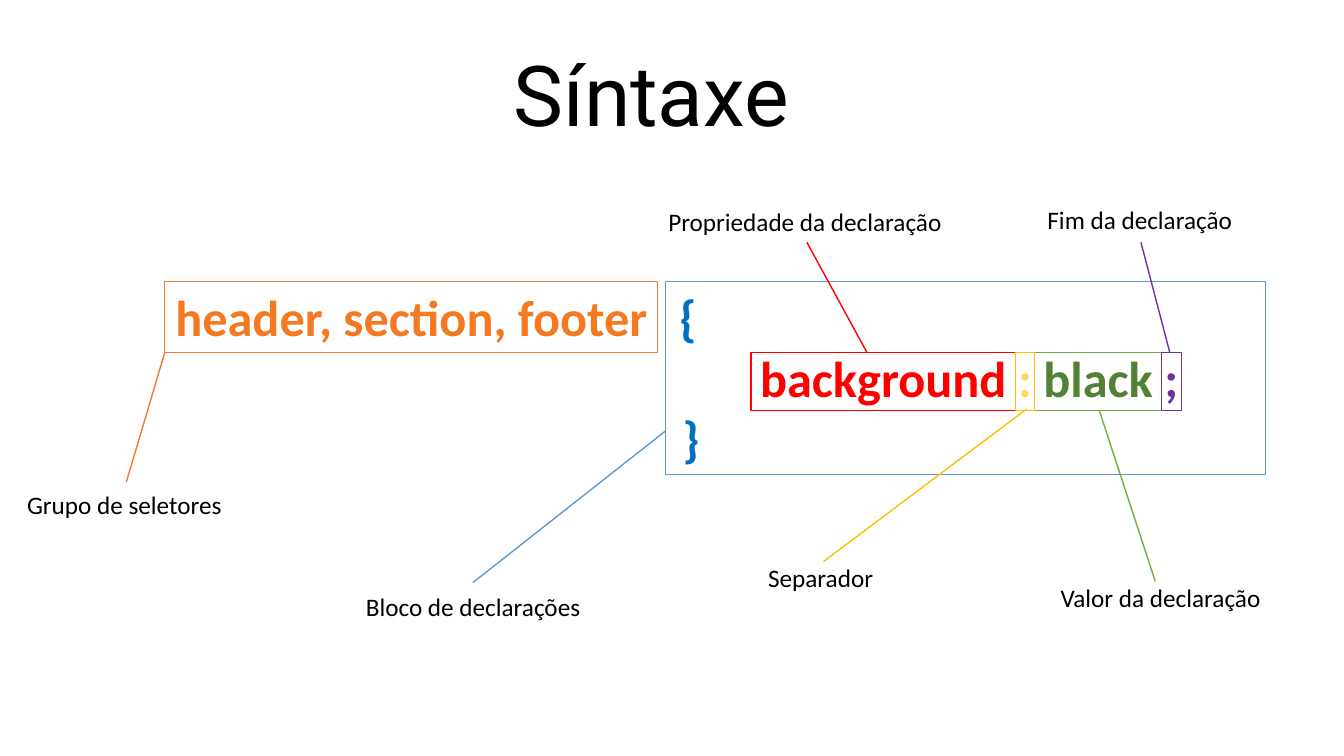
from lxml.etree import SubElement
from pptx import Presentation
from pptx.dml.color import RGBColor
from pptx.enum.shapes import MSO_SHAPE
from pptx.enum.text import MSO_ANCHOR, PP_ALIGN
from pptx.oxml.ns import qn
from pptx.util import Inches, Pt

COLORS = {
    "black": "000000",
    "selector": "F47920",
    "brace": "0070C0",
    "property": "FF0000",
    "colon": "FFD966",
    "value": "548235",
    "end": "7030A0",
    "orange_line": "ED7D31",
    "blue_line": "5B9BD5",
    "green_line": "70AD47",
    "yellow_line": "FFC000",
}
BRACE_INDENT = Inches(5.03)
DECLARATION_INDENT = Inches(5.8)
TOKEN_TOP, TOKEN_HEIGHT = 3.5, 0.57

CODE_LINES = [
    (0, [("header, section, footer", "selector"), ("\t{", "brace")]),
    (DECLARATION_INDENT, [("background ", "property"), (": ", "colon"),
                          ("black ", "value"), (";", "end")]),
    (BRACE_INDENT, [("}", "brace")]),
]
CALLOUTS = [
    ((1.63, 2.79, 4.89, 0.71), (0.995, 0.001, 2.804, -0.077), "orange_line"),
    ((6.6, 2.79, 5.95, 1.92), (0.774, 0, 1.557, -0.321), "blue_line"),
    ((7.45, TOKEN_TOP, 2.62, TOKEN_HEIGHT), (0, 0.439, -1.923, 0.211), "property"),
    ((10.26, TOKEN_TOP, 1.26, TOKEN_HEIGHT), (1, 0.51, 3.982, 0.952), "green_line"),
    ((10.07, TOKEN_TOP, 0.19, TOKEN_HEIGHT), (0.981, 0.583, 3.633, -10), "yellow_line"),
    ((11.52, TOKEN_TOP, 0.2, TOKEN_HEIGHT), (0, 0.417, -1.923, -1.02), "end"),
]
LABELS = [
    ("Grupo de seletores", 0.17, 4.81, 2.15),
    ("Bloco de declarações", 3.53, 5.82, 2.35),
    ("Propriedade da declaração", 6.53, 2, 2.94),
    ("Valor da declaração", 10.42, 5.73, 2.21),
    ("Separador", 7.52, 5.53, 1.26),
    ("Fim da declaração", 10.29, 1.98, 2.05),
]


def add_box(page, left, top, width, height, wrap=True):
    """Add an empty text box and return its text frame."""
    box = page.shapes.add_textbox(Inches(left), Inches(top), Inches(width), Inches(height))
    box.text_frame.word_wrap = wrap
    return box.text_frame


def add_span(para, text, size, color="black", font="Calibri", bold=False):
    """Add one formatted run to a paragraph."""
    span = para.add_run()
    span.text = text
    span.font.name = font
    span.font.size = Pt(size)
    span.font.bold = bold
    span.font.color.rgb = RGBColor.from_string(COLORS[color])


def add_title(page, text):
    """Add the centred slide title."""
    frame = add_box(page, 0.8, 0.37, 11.32, 1.11)
    frame.vertical_anchor = MSO_ANCHOR.MIDDLE
    para = frame.paragraphs[0]
    para.alignment = PP_ALIGN.CENTER
    add_span(para, text, 60, font="Roboto")


def indent_line(para, indent):
    """Set the left margin of a code line and the tab stop of its brace."""
    properties = para._p.get_or_add_pPr()
    properties.set("marL", str(indent))
    properties.set("indent", "0")
    tabs = SubElement(properties, qn("a:tabLst"))
    SubElement(tabs, qn("a:tab"), pos=str(BRACE_INDENT), algn="l")


def add_code(page):
    """Add the coloured style rule."""
    frame = add_box(page, 1.64, 2.79, 10.24, 1.92)
    for number, (indent, tokens) in enumerate(CODE_LINES):
        para = frame.add_paragraph() if number else frame.paragraphs[0]
        indent_line(para, indent)
        for text, color in tokens:
            add_span(para, text, 36, color, bold=True)


def add_callout(page, frame, adjustments, color):
    """Add an unfilled frame with its leader line."""
    shape = page.shapes.add_shape(MSO_SHAPE.LINE_CALLOUT_1, *map(Inches, frame))
    for index, value in enumerate(adjustments):
        shape.adjustments[index] = value
    shape.shadow.inherit = False
    shape.fill.background()
    shape.line.color.rgb = RGBColor.from_string(COLORS[color])
    shape.line.width = Pt(1)


def add_label(page, text, left, top, width):
    """Add the name of one part of the rule."""
    frame = add_box(page, left, top, width, 0.4, wrap=False)
    add_span(frame.paragraphs[0], text, 18)


def main():
    """Build and save the slide."""
    deck = Presentation()
    deck.slide_width, deck.slide_height = Inches(13.33), Inches(7.5)
    page = deck.slides.add_slide(deck.slide_layouts[6])
    add_title(page, "Síntaxe")
    add_code(page)
    for callout in CALLOUTS:
        add_callout(page, *callout)
    for label in LABELS:
        add_label(page, *label)
    deck.save("out.pptx")


if __name__ == "__main__":
    main()
